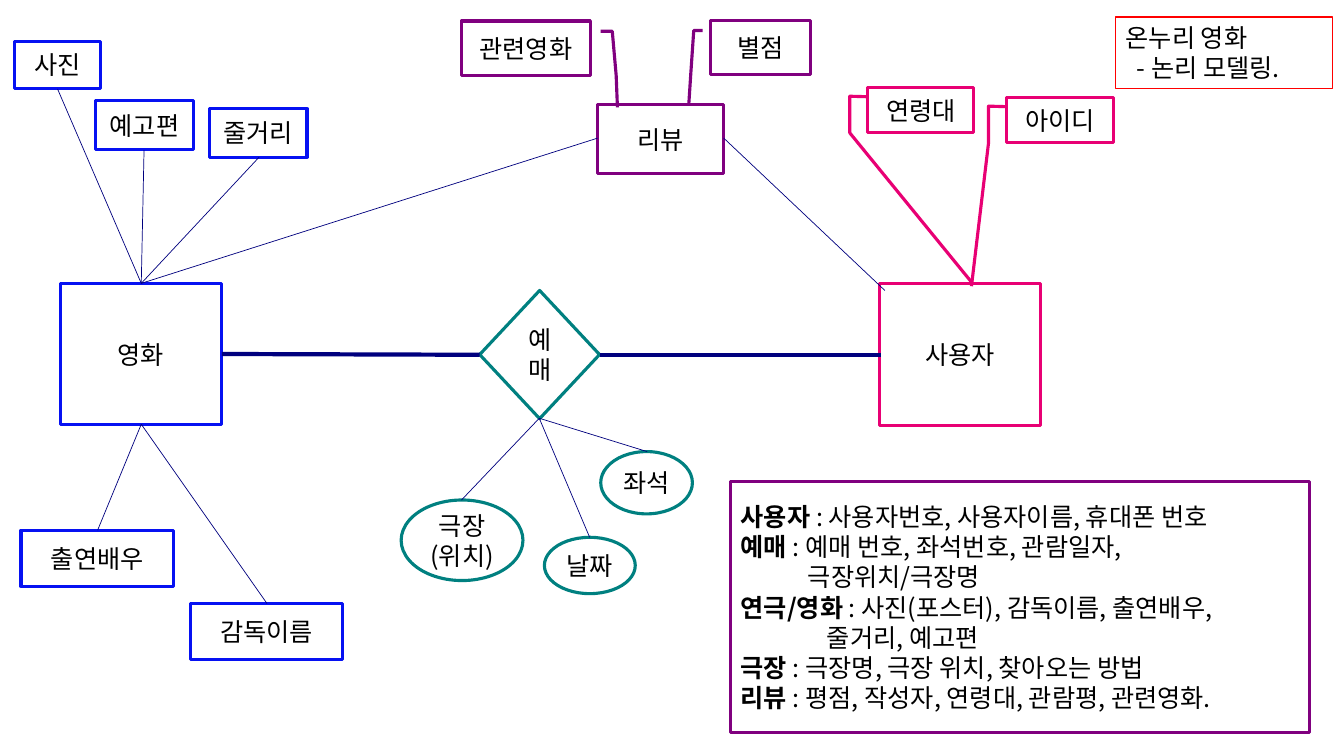
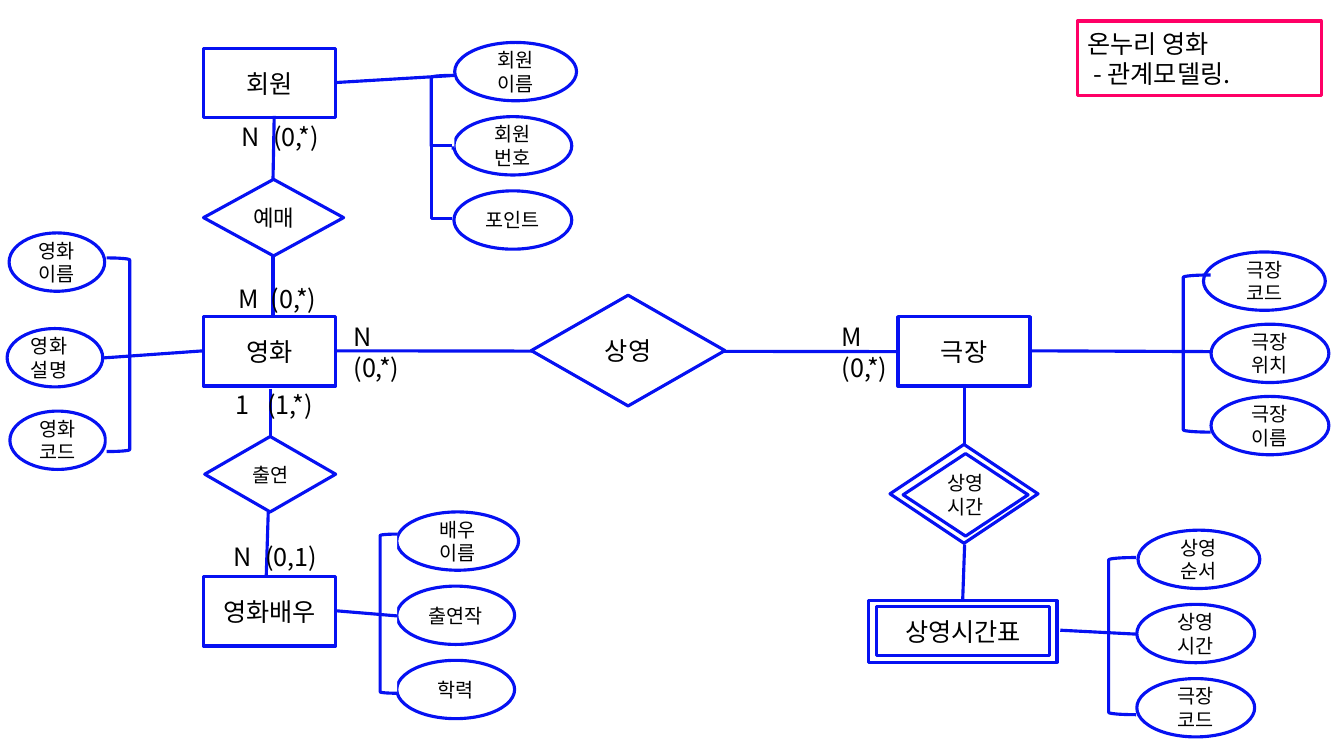
from lxml import etree
from pptx import Presentation
from pptx.dml.color import RGBColor
from pptx.enum import shapes, text
from pptx.oxml.ns import qn
from pptx.util import Cm, Pt

FONT = "Noto Sans CJK KR"
BLUE, PINK, TEAL, PURPLE, NAVY = "0611F2", "E80074", "008080", "80007F", "00007E"
RED, ROSE, WHITE, BLACK = "FF0000", "FF0066", "FFFFFF", "000000"
KIND = shapes.MSO_SHAPE
RECT, OVAL, DIAMOND = KIND.RECTANGLE, KIND.OVAL, KIND.DIAMOND
CENTER, LEFT = text.PP_ALIGN.CENTER, text.PP_ALIGN.LEFT
MIDDLE, TOP = text.MSO_ANCHOR.MIDDLE, text.MSO_ANCHOR.TOP
TAB_STOP = Cm(0.8)


def add_node(slide, kind, box, words="", color=BLUE, fill=None, size=18,
             align=CENTER, anchor=MIDDLE, width=2.25, indents=None):
    """Add a shape, or a text box if kind is None; "|" ends the bold part of a line."""
    place = [Cm(length) for length in box]
    if kind is None:
        shape = slide.shapes.add_textbox(*place)
    else:
        shape = slide.shapes.add_shape(kind, *place)
        shape.shadow.inherit = False
        shape.line.color.rgb = RGBColor.from_string(color)
        shape.line.width = Pt(width)
        if fill:
            shape.fill.solid()
            shape.fill.fore_color.rgb = RGBColor.from_string(fill)
        else:
            shape.fill.background()
    if not words:
        return shape

    frame = shape.text_frame
    for name, value in {"word_wrap": True, "vertical_anchor": anchor}.items():
        setattr(frame, name, value)
    for index, line in enumerate(words.split("\n")):
        paragraph = frame.add_paragraph() if index else frame.paragraphs[0]
        paragraph.alignment = align
        properties = paragraph._p.get_or_add_pPr()
        if indents and index in indents:
            properties.set("marL", str(Cm(indents[index])))
        if "\t" in line:
            stops = etree.SubElement(properties, qn("a:tabLst"))
            etree.SubElement(stops, qn("a:tab"), pos=str(TAB_STOP), algn="l")
        heading, _, rest = line.rpartition("|")
        for part, bold in ((heading, True), (rest, False)):
            if not part:
                continue
            run = paragraph.add_run()
            run.text = part
            run.font.color.rgb = RGBColor.from_string(BLACK)
            for name, value in {"name": FONT, "size": Pt(size), "bold": bold}.items():
                setattr(run.font, name, value)
            etree.SubElement(run._r.get_or_add_rPr(), qn("a:ea"), typeface=FONT)
    return shape


def add_line(slide, start, end, color=BLUE, width=2.25):
    ends = [Cm(length) for length in (*start, *end)]
    line = slide.shapes.add_connector(shapes.MSO_CONNECTOR.STRAIGHT, *ends)
    line.line.color.rgb = RGBColor.from_string(color)
    line.line.width = Pt(width)
    etree.SubElement(line._element.spPr, qn("a:effectLst"))


presentation = Presentation()
presentation.slide_width, presentation.slide_height = Cm(33.87), Cm(19.05)
blank = presentation.slide_layouts[6]

# Slide 1: logical model
slide = presentation.slides.add_slide(blank)
add_node(slide, RECT, (28.12, 0.43, 5.46, 1.8), "온누리 영화\n- 논리 모델링.",
         RED, align=LEFT, anchor=TOP, width=1, indents={1: 0.28})

for kind, color, box, words in (
    (RECT, BLUE, (1.52, 7.14, 4.06, 3.56), "영화"),
    (RECT, BLUE, (0.36, 1.04, 2.18, 1.19), "사진"),
    (RECT, BLUE, (2.41, 2.54, 2.46, 1.22), "예고편"),
    (RECT, BLUE, (5.28, 2.74, 2.46, 1.22), "줄거리"),
    (RECT, BLUE, (0.53, 13.36, 3.84, 1.42), "출연배우"),
    (RECT, BLUE, (4.8, 15.21, 3.84, 1.42), "감독이름"),
    (RECT, PINK, (22.17, 7.14, 4.06, 3.58), "사용자"),
    (RECT, PURPLE, (15.06, 2.64, 3.18, 1.73), "리뷰"),
    (DIAMOND, TEAL, (12.09, 7.32, 3.02, 3.23), "예매"),
    (OVAL, TEAL, (15.14, 11.38, 2.31, 1.57), "좌석"),
    (OVAL, TEAL, (13.72, 13.54, 2.29, 1.42), "날짜"),
    (OVAL, TEAL, (10.11, 12.6, 3.07, 2.03), "극장\n(위치)"),
):
    node = add_node(slide, kind, box, words, color, WHITE)
    if kind == OVAL:  # no side margins, so that each word stays on one line
        for side in ("margin_left", "margin_right", "margin_top", "margin_bottom"):
            setattr(node.text_frame, side, 0)

# Thin lines fan out from one point of an entity
for hub, targets in (
    ((3.56, 7.14), ((1.45, 2.24), (3.63, 3.78), (6.53, 3.96), (15.06, 3.48))),
    ((3.56, 10.69), ((2.46, 13.36), (6.73, 15.21))),
    ((13.59, 10.54), ((11.63, 12.6), (14.86, 13.54), (16.31, 11.38))),
    ((18.24, 3.48), ((22.3, 7.32),)),
):
    for target in targets:
        add_line(slide, hub, target, NAVY, 0.5)
add_line(slide, (5.59, 8.92), (12.09, 8.94), NAVY, 3)
add_line(slide, (15.11, 8.94), (22.2, 8.94), NAVY, 3)

for box, words, color, flipped, bends in (
    ((21.87, 2.21, 2.67, 1.14), "연령대", PINK, False,
     (0.2, -0.01, 0.19, -0.17, 1, -0.17, 4.33, 0.99)),
    ((25.37, 2.46, 2.69, 1.14), "아이디", PINK, False,
     (0.2, -0.01, 0.19, -0.17, 1, -0.17, 4.17, -0.33)),
    ((17.91, 0.51, 2.51, 1.37), "별점", PURPLE, False,
     (0.19, -0.08, 0.19, -0.17, 1, -0.2, 1.56, -0.22)),
    ((11.63, 0.53, 3.25, 1.37), "관련영화", PURPLE, True,
     (0.19, -0.08, 0.19, -0.17, 1, -0.2, 1.59, -0.21)),
):
    callout = add_node(slide, KIND.LINE_CALLOUT_3, box, words, color)
    for index, bend in enumerate(bends):
        callout.adjustments[index] = bend
    if flipped:
        callout._element.spPr.find(qn("a:xfrm")).set("flipH", "1")

summary = "\n".join((
    "사용자 |: 사용자번호, 사용자이름, 휴대폰 번호",
    "예매 |: 예매 번호, 좌석번호, 관람일자,",
    "극장위치/극장명",
    "연극/영화| : 사진(포스터), 감독이름, 출연배우,",
    "줄거리, 예고편",
    "극장| : 극장명, 극장 위치, 찾아오는 방법",
    "리뷰| : 평점, 작성자, 연령대, 관람평, 관련영화.",
))
add_node(slide, RECT, (18.42, 12.14, 14.58, 6.32), summary, PURPLE,
         align=LEFT, indents={2: 1.69, 4: 2.17})

# Slide 2: relational model
slide = presentation.slides.add_slide(blank)
add_node(slide, RECT, (27.15, 0.53, 6.15, 1.88), "온누리 영화\n- 관계모델링.",
         ROSE, align=LEFT, indents={1: 0.15})

for left, top, words in ((5.13, 1.22, "회원"), (5.13, 7.98, "영화"),
                         (5.13, 14.53, "영화배우"), (22.63, 7.98, "극장")):
    add_node(slide, RECT, (left, top, 3.33, 1.75), words)

for kind, box, words, size in (
    (DIAMOND, (5.13, 4.52, 3.53, 1.93), "예매", 16),
    (DIAMOND, (5.16, 11, 3.3, 1.9), "출연", 14),
    (DIAMOND, (22.43, 11.2, 3.73, 2.49), "", 14),
    (DIAMOND, (22.76, 11.43, 3.15, 2.08), "상영\n시간", 14),
    (RECT, (21.89, 15.14, 4.75, 1.55), "", 18),
    (RECT, (22.1, 15.29, 4.34, 1.24), "상영시간표", 18),
):
    add_node(slide, kind, box, words, size=size)

# Attribute columns: the first oval is a little wider than the others
for first_left, left, top, step, names in (
    (11.46, 11.44, 1.07, 1.87, ("회원\n이름", "회원\n번호", "포인트")),
    (10, 10, 12.9, 1.87, ("배우\n이름", "출연작", "학력")),
    (30.33, 30.52, 6.35, 1.82, ("극장\n코드", "극장\n위치", "극장\n이름")),
    (28.68, 28.65, 13.36, 1.87, ("상영\n순서", "상영\n시간", "극장\n코드")),
):
    for row, words in enumerate(names):
        x, width = (left, 2.97) if row else (first_left, 3.07)
        add_node(slide, OVAL, (x, top + row * step, width, 1.47), words, size=14)
for left, top, words, align in ((0.23, 5.87, "영화이름", CENTER),
                                (0.18, 8.28, "영화설명", LEFT),
                                (0.25, 10.36, "영화코드", CENTER)):
    add_node(slide, OVAL, (left, top, 2.41, 1.47), words, size=14, align=align)

for kind, box, fill in (
    (KIND.LEFT_BRACKET, (29.82, 6.93, 0.69, 3.96), None),
    (KIND.LEFT_BRACKET, (27.94, 14.05, 0.69, 3.96), None),
    (KIND.LEFT_BRACKET, (9.58, 13.46, 0.43, 4.01), WHITE),
    (KIND.RIGHT_BRACKET, (2.69, 6.5, 0.58, 4.88), WHITE),
    (KIND.LEFT_BRACKET, (10.87, 1.9, 0.58, 1.83), WHITE),
):
    add_node(slide, kind, box, fill=fill)
square_bracket = add_node(slide, KIND.LEFT_BRACKET, (10.87, 3.66, 0.51, 1.85), fill=WHITE)
square_bracket.adjustments[0] = 0

for start, end in (
    ((6.91, 2.92), (6.88, 4.52)),
    ((6.88, 6.45), (6.88, 8)),
    ((6.81, 9.8), (6.81, 11)),
    ((6.76, 12.9), (6.71, 14.5)),
    ((8.46, 8.84), (22.66, 8.86)),
    ((24.31, 9.73), (24.31, 11.23)),
    ((24.31, 13.72), (24.26, 15.14)),
    ((8.46, 2.08), (11.46, 1.9)),
    ((8.46, 15.39), (10.01, 15.52)),
    ((2.59, 9.02), (5.13, 8.84)),
    ((25.98, 8.84), (30.56, 8.86)),
    ((26.72, 15.88), (28.65, 15.98)),
):
    add_line(slide, start, end)
add_node(slide, DIAMOND, (13.39, 7.44, 4.88, 2.79), "상영", fill=WHITE)

for left, top, height, words in (
    (5.84, 2.92, 1.02, "N\t(0,*)"),
    (5.77, 7.01, 1.02, "M\t(0,*)"),
    (5.69, 9.68, 1.02, "1\t(1,*)"),
    (5.64, 13.51, 1.02, "N\t(0,1)"),
    (8.66, 7.98, 1.78, "N\n(0,*)"),
    (20.96, 7.98, 1.78, "M\n(0,*)"),
):
    add_node(slide, None, (left, top, 3.28, height), words, align=LEFT, anchor=TOP)

presentation.save("out.pptx")
